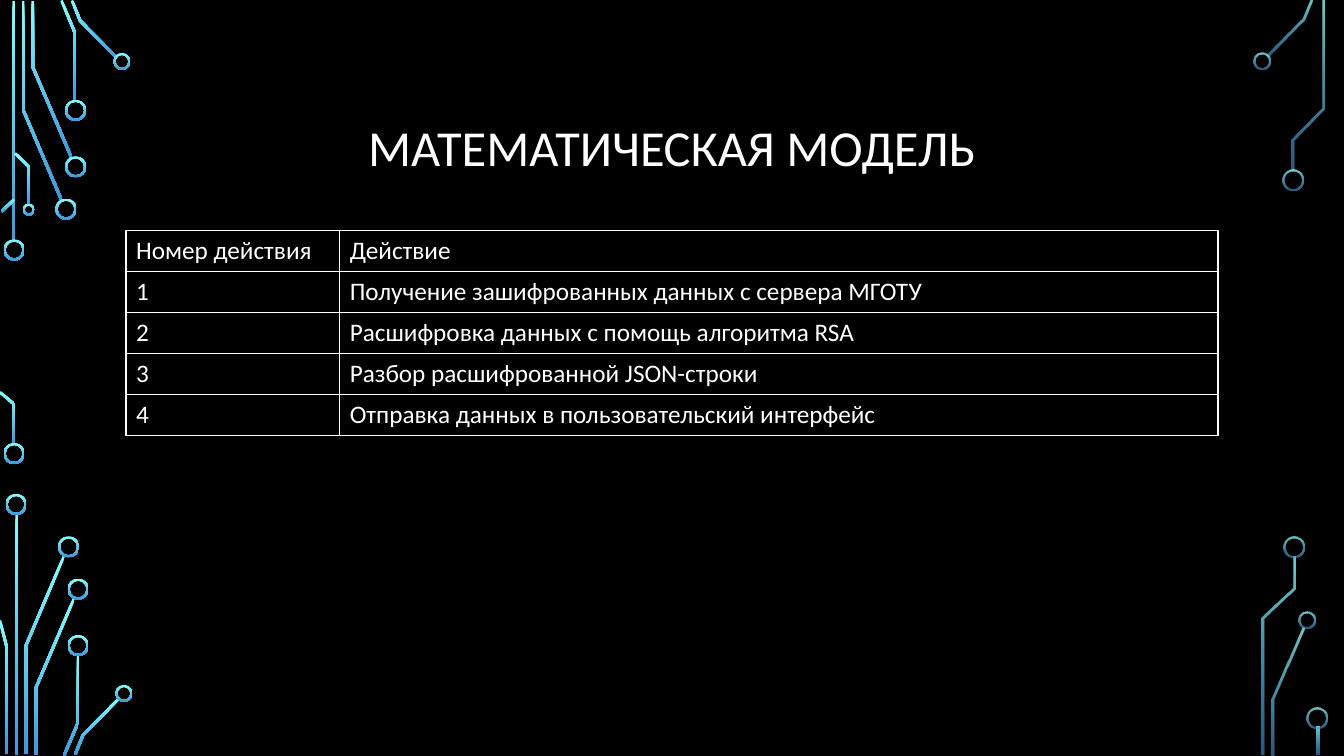
from math import hypot
from lxml.etree import SubElement as Sub
from pptx import Presentation
from pptx.dml.color import RGBColor
from pptx.enum.shapes import MSO_SHAPE as Kind
from pptx.enum.text import MSO_ANCHOR as Anchor, PP_ALIGN as Align
from pptx.oxml import parse_xml
from pptx.oxml.ns import nsdecls, qn
from pptx.util import Inches, Pt

WIDE, HIGH = Inches(13.33), Inches(7.5)
COLS, ROWS = 1333, 750
WIRE, RIM = 2.6, 2
FONT, WHITE, BLACK = "Calibri", "FFFFFF", "000000"
GLOW = ["82FFFF", "3D97DE"]
FULL, DIM = [100, 100], [80, 60]

HEAD = "МАТЕМАТИЧЕСКАЯ МОДЕЛЬ"
STEPS = [
    ("Номер действия", "Действие"),
    ("1", "Получение зашифрованных данных с сервера МГОТУ"),
    ("2", "Расшифровка данных с помощь алгоритма RSA"),
    ("3", "Разбор расшифрованной JSON-строки"),
    ("4", "Отправка данных в пользовательский интерфейс"),
]

CORNERS = [
    ((0, 0), FULL, [
        [(13.5, 1), (13.5, 239)],
        [(23, 1), (23, 109), (61, 198.5)],
        [(32.5, 1), (32.5, 66.5), (71, 156.5)],
        [(61, 0.5), (74.5, 33), (74.5, 100)],
        [(71.5, 0.5), (79.5, 20.5), (115.5, 57)],
        [(1.5, 210), (14, 198)],
        [(0, 389), (14, 401), (14, 441)],
        [(15, 152), (29, 165.5), (29, 203)],
    ], [(14, 248, 21), (14, 450, 21), (65.5, 207.5, 21), (75, 165.5, 21),
        (75, 109.5, 21), (121, 61, 17), (28.5, 208, 12)]),
    ((0, 490), FULL, [
        [(16.5, 20), (16.5, 259)],
        [(25.5, 258), (25.5, 151), (63.5, 61.5)],
        [(0, 125.5), (6.5, 151), (6.5, 258)],
        [(35.5, 259), (35.5, 192.5), (73.5, 103.5)],
        [(63.5, 259.5), (77.5, 227), (77.5, 160)],
        [(74.5, 258.5), (82.5, 239), (118, 203)],
    ], [(16, 10.5, 21), (68, 52.5, 21), (77.5, 94.5, 21),
        (77.5, 150.5, 21), (123, 198, 17)]),
    ((1243, 0), DIM, [
        [(14, 55.5), (49.5, 19.5), (57.5, 0.5)],
        [(69.5, 1), (69.5, 107.5), (39, 138.5), (39, 169)],
    ], [(9, 60.5, 17), (39.5, 178.5, 21)]),
    ((1243, 530), DIM, [
        [(19.5, 219), (19.5, 163.5), (50, 93.5)],
        [(9.5, 219), (9.5, 83.5), (40.5, 53.5), (40.5, 22)],
        [(64.5, 191), (64.5, 219)],
    ], [(53.5, 85.5, 17), (40, 12.5, 21), (63.5, 182, 21)]),
]


def hue(code):
    return RGBColor.from_string(code)


def col(n):
    return round(WIDE * n / COLS)


def row(n):
    return round(HIGH * n / ROWS)


def area(box):
    x, y, w, h = box
    return col(x), row(y), col(w), row(h)


def write(para, text, size):
    run = para.add_run()
    run.text = text
    run.font.name = FONT
    run.font.size = Pt(size)
    run.font.color.rgb = hue(WHITE)


def paint(shape, alphas):
    shape.shadow.inherit = False
    shape.line.fill.background()
    shape.fill.gradient()
    shape.fill.gradient_angle = 270
    for stop, code in zip(shape.fill.gradient_stops, GLOW):
        stop.color.rgb = hue(code)
    tags = shape.fill._xPr.iter(qn("a:srgbClr"))
    for tag, alpha in zip(tags, alphas):
        if alpha < 100:
            Sub(tag, qn("a:alpha")).set("val", str(alpha * 1000))


def side(points, gap):
    norms = []
    for (x, y), (u, v) in zip(points, points[1:]):
        size = hypot(u - x, v - y)
        norms.append(((y - v) / size, (u - x) / size))
    pairs = zip(points, norms[:1] + norms, norms + norms[-1:])
    edge = []
    for (x, y), (a, b), (c, d) in pairs:
        k = gap / (1 + a * c + b * d)
        edge.append((x + k * (a + c), y + k * (b + d)))
    return edge


def ribbon(shapes, points, alphas):
    rim = side(points, WIRE / 2) + side(points, -WIRE / 2)[::-1]
    spots = [(col(x), row(y)) for x, y in rim]
    form = shapes.build_freeform(*spots[0], scale=1.0)
    form.add_line_segments(spots[1:], close=True)
    paint(form.convert_to_shape(), alphas)


def circuit(shapes, place, alphas, wires, rings):
    left, top = place
    for wire in wires:
        ribbon(shapes, [(left + x, top + y) for x, y in wire], alphas)
    for x, y, d in rings:
        box = left + x - d / 2, top + y - d / 2, d, d
        ring = shapes.add_shape(Kind.DONUT, *area(box))
        ring.adjustments[0] = RIM / d
        paint(ring, alphas)


def title(shapes, box):
    frame = shapes.add_textbox(*area(box)).text_frame
    frame.word_wrap = True
    frame.vertical_anchor = Anchor.MIDDLE
    para = frame.paragraphs[0]
    para.alignment = Align.CENTER
    para.line_spacing = 0.9
    write(para, HEAD, 36)


def border(cell):
    props = cell._tc.get_or_add_tcPr()
    for spot, name in enumerate(("lnL", "lnR", "lnT", "lnB")):
        props.insert(spot, parse_xml(
            f'<a:{name} {nsdecls("a")} w="12700"><a:solidFill>'
            f'<a:srgbClr val="{WHITE}"/></a:solidFill></a:{name}>'))


def table(shapes, box, first):
    grid = shapes.add_table(len(STEPS), 2, *area(box)).table
    grid.first_row = grid.horz_banding = False
    for part, wide in zip(grid.columns, (first, box[2] - first)):
        part.width = col(wide)
    for line, texts in zip(grid.rows, STEPS):
        line.height = row(box[3] / len(STEPS))
        for cell, text in zip(line.cells, texts):
            cell.fill.solid()
            cell.fill.fore_color.rgb = hue(BLACK)
            border(cell)
            write(cell.text_frame.paragraphs[0], text, 18)


def main():
    deck = Presentation()
    deck.slide_width, deck.slide_height = WIDE, HIGH
    slide = deck.slides.add_slide(deck.slide_layouts[6])
    slide.background.fill.solid()
    slide.background.fill.fore_color.rgb = hue(BLACK)
    for corner in CORNERS:
        circuit(slide.shapes, *corner)
    title(slide.shapes, (125, 68, 1083, 162))
    table(slide.shapes, (125, 229, 1083, 203), 212)
    deck.save("out.pptx")


if __name__ == "__main__":
    main()
